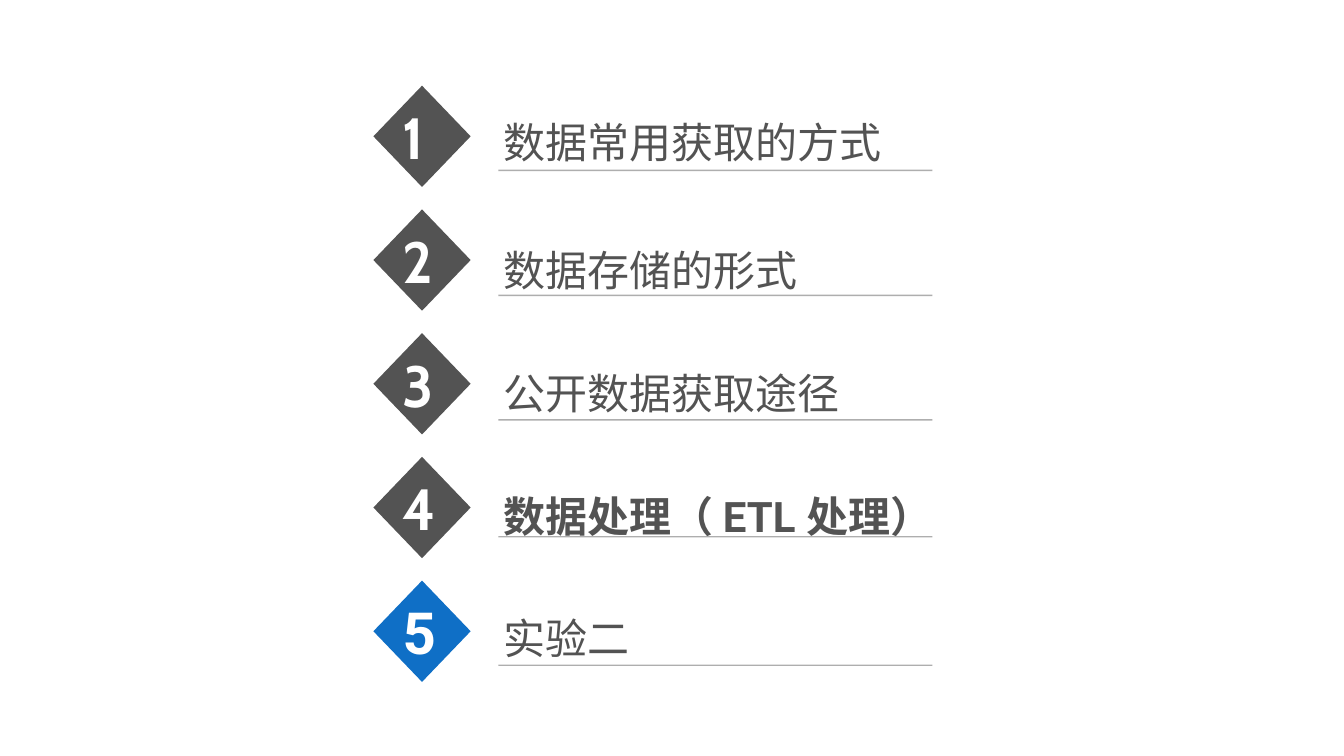
"""Build an agenda slide with five numbered rows."""
import pptx
import pptx.util
import pptx.dml.color
import pptx.enum.shapes
import pptx.enum.text
import pptx.oxml
import pptx.oxml.ns
import lxml.etree

Inches = pptx.util.Inches
HUES = {"dark": "535353", "blue": "0F6FC6", "rule": "5E5E5E", "white": "FFFFFF"}


def tint(name):
    return pptx.dml.color.RGBColor.from_string(HUES[name])


def write(shape, text, font, size, hue, bold):
    frame = shape.text_frame
    frame.text = text
    frame.word_wrap = True
    frame.margin_left = frame.margin_right = Inches(0.1)
    frame.margin_top = frame.margin_bottom = Inches(0.1)
    para = frame.paragraphs[0]
    para.alignment = pptx.enum.text.PP_ALIGN.LEFT
    run = para.runs[0]
    run.font.name = font
    run.font.size = pptx.util.Pt(size)
    run.font.bold = bold
    run.font.color.rgb = tint(hue)


deck = pptx.Presentation()
deck.slide_width = Inches(26.67)
deck.slide_height = Inches(15)
slide = deck.slides.add_slide(deck.slide_layouts[6])

TOP, STEP = 1.7, 2.455
ROWS = [
    ("数据常用获取的方式", 2.22, 3.38, 8.81, False, "Cabin", "dark"),
    ("数据存储的形式", 4.75, 5.86, 8.81, False, "Cabin", "dark"),
    ("公开数据获取途径", 7.19, 8.33, 8.81, False, "Cabin", "dark"),
    ("数据处理（ ETL 处理）", 9.63, 10.65, 9.24, True, "Cabin", "dark"),
    ("实验二", 12.05, 13.2, 8.81, False, "Roboto", "blue"),
]

for i, (topic, top, base, width, bold, face, hue) in enumerate(ROWS):
    row = slide.shapes.add_group_shape().shapes

    label = row.add_textbox(Inches(9.89), Inches(top), Inches(width), Inches(1.21))
    write(label, topic, "Roboto", 60, "dark", bold)
    label.text_frame.auto_size = pptx.enum.text.MSO_AUTO_SIZE.SHAPE_TO_FIT_TEXT

    badge = row.add_shape(
        pptx.enum.shapes.MSO_SHAPE.DIAMOND,
        Inches(7.41), Inches(TOP + i * STEP), Inches(1.93), Inches(2.01),
    )
    badge.shadow.inherit = False
    badge.fill.solid()
    badge.fill.fore_color.rgb = tint(hue)
    badge.line.fill.background()
    write(badge, str(i + 1), face, 83, "white", True)
    badge.text_frame.vertical_anchor = pptx.enum.text.MSO_ANCHOR.MIDDLE

    rule = row.add_connector(
        pptx.enum.shapes.MSO_CONNECTOR.STRAIGHT,
        Inches(9.89), Inches(base), Inches(18.5), Inches(base),
    )
    rule.line.width = pptx.util.Pt(2)
    rule.line.color.rgb = tint("rule")
    props = rule._element.spPr
    color = props.find(".//" + pptx.oxml.ns.qn("a:srgbClr"))
    lxml.etree.SubElement(color, pptx.oxml.ns.qn("a:alpha"), val="50000")
    lxml.etree.SubElement(props, pptx.oxml.ns.qn("a:effectLst"))

deck.save("out.pptx")
